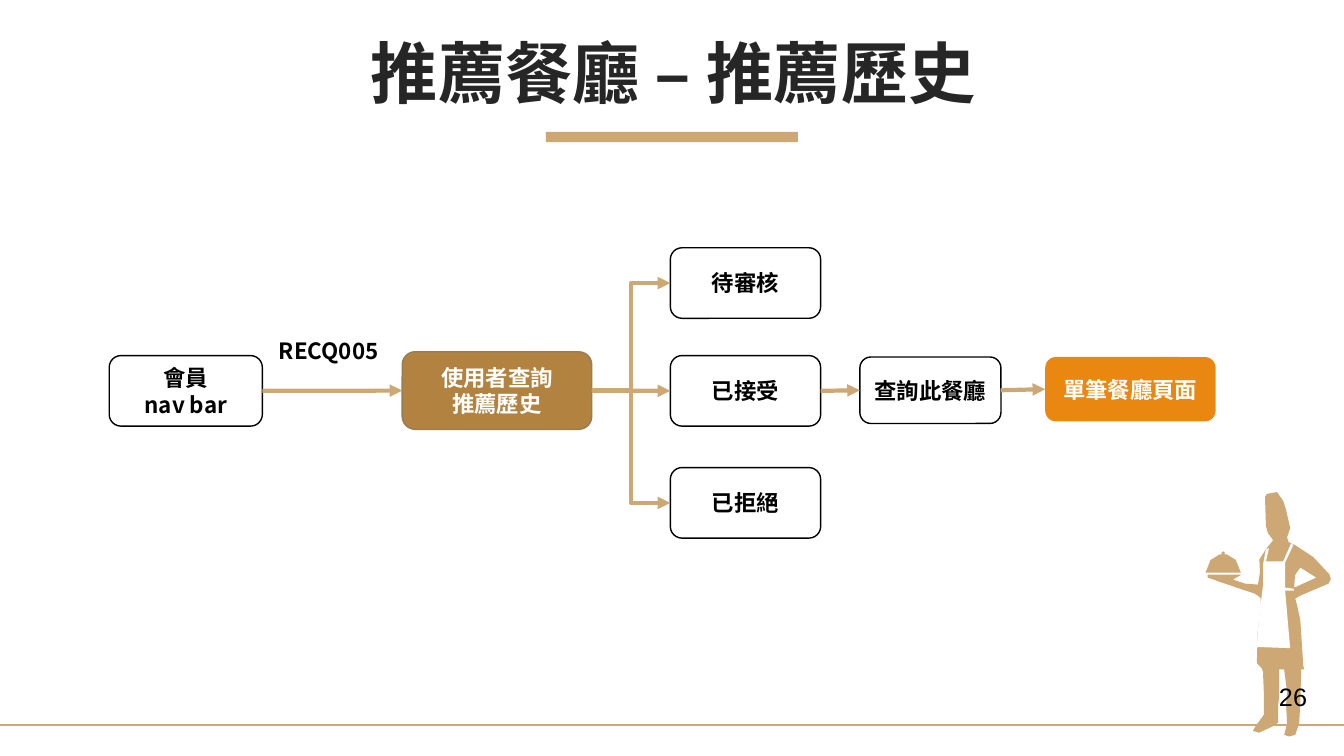
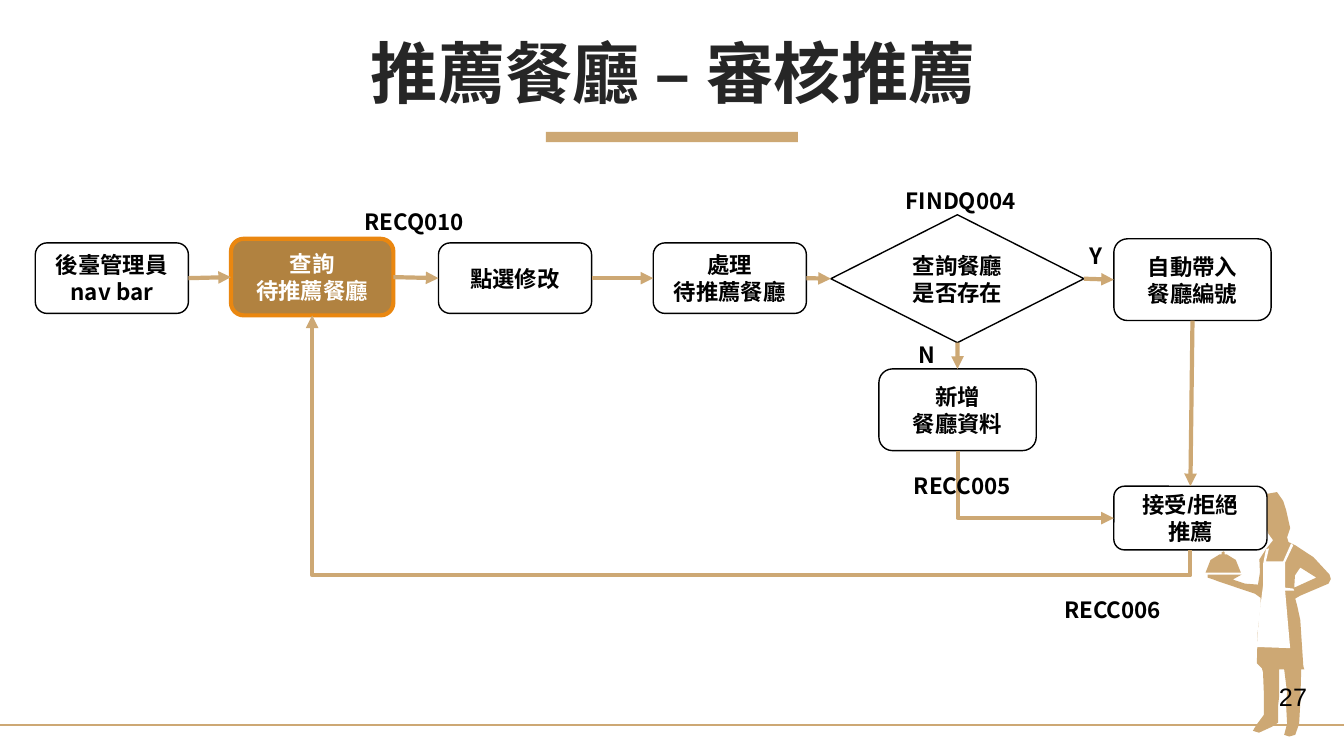
from lxml.etree import SubElement
from pptx import Presentation
from pptx.dml.color import RGBColor
from pptx.enum.shapes import MSO_CONNECTOR, MSO_SHAPE
from pptx.enum.text import MSO_ANCHOR, PP_ALIGN
from pptx.oxml.ns import qn
from pptx.util import Pt

COLORS = {"gold": "CDA874", "brown": "B18240", "edge": "987C56", "orange": "EA8710",
          "title": "262626", "black": "000000", "white": "FFFFFF"}
NOTO, ARIAL = "Noto Sans CJK SC", "Arial"
ROUND, PROCESS = MSO_SHAPE.ROUNDED_RECTANGLE, MSO_SHAPE.FLOWCHART_ALTERNATE_PROCESS
DIAMOND = MSO_SHAPE.DIAMOND
STRAIGHT, ELBOW = MSO_CONNECTOR.STRAIGHT, MSO_CONNECTOR.ELBOW
TOP, LEFT, BOTTOM, RIGHT = range(4)

# Chef silhouette: (fill, contours)
CHEF = [
    ("gold", [
        [(862.6, 410.4), (887, 410.4), (880.6, 414), (889.2, 416.9), (898.6, 417.6),
         (900, 409), (899.6, 399.6), (904.3, 392.4), (909.4, 385.9), (905.8, 380.9),
         (904.3, 375.8), (903.6, 355), (905, 352.8), (912.2, 351.5), (916.6, 357.8),
         (918.7, 364.3), (921.6, 377.3), (919.4, 383.8), (920.4, 387.2), (925.2, 389.5),
         (938.2, 398), (949.7, 410.4), (950.6, 413.6), (949, 416.9), (928.8, 425.5),
         (925.2, 427.6), (926.6, 432.7), (928.8, 442.8), (931, 475.9), (931.7, 478.1),
         (929.5, 478.1), (928.8, 502.6), (928, 517), (925.2, 524.9), (920.9, 526.1),
         (917.3, 524.9), (919.4, 517), (918.7, 503.3), (919.4, 494.6), (917.3, 478.1),
         (913.7, 478.1), (913.7, 497.5), (913, 504), (913, 516.2), (908.6, 519.1),
         (899.3, 523.4), (895, 522), (897.1, 518.4), (902.9, 510.5), (902.9, 497.5),
         (902.2, 480.2), (901.4, 477.4), (897.8, 473.8), (898.4, 452), (900.7, 432),
         (900.4, 427), (896.4, 424.1), (870.5, 415.4), (866.9, 414), (862.6, 412.6)],
        [(924.5, 419.8), (940.3, 412.6), (928.8, 405.4), (925, 411)]]),
    ("white", [
        [(922.3, 388.1), (916.6, 401), (904.3, 401), (906.5, 391.7), (904.3, 392.4),
         (902.2, 403.2), (902.2, 418.3), (899.3, 441.4), (897.8, 462.2), (921.6, 463),
         (918, 421.9), (924.5, 421.9), (923.8, 420.5), (918, 419.8), (918, 401.8),
         (923.8, 389.5)]]),
    ("gold", [
        [(874.1, 393.8), (872.6, 394.6), (872.6, 396), (871.2, 396), (864.7, 400),
         (861.1, 409), (886.3, 409), (882.7, 400), (876.2, 396), (874.8, 396),
         (874.8, 394.6)]]),
]

# Box: name -> (preset, left, top, width, height, lines, font, fill, line, line width)
# Arrow: (from, site, to, site, connector type, turn), turn = (preset, degrees, adjust)
# Label: (left, top, width, text)
WHITE_BOX = ("white", "black", 1)
STATUSES = [("pending", 177, "待審核"), ("accepted", 254, "已接受"), ("refused", 334, "已拒絕")]
SLIDES = [
    {"title": "推薦餐廳 – 推薦歷史", "number": "26",
     "boxes": {
         "member": (PROCESS, 78, 254, 109.4, 50.4, ["會員", "nav bar"], NOTO, *WHITE_BOX),
         "history": (ROUND, 287.3, 251.3, 135.4, 55.4, ["使用者查詢", "推薦歷史"], ARIAL,
                     "brown", "edge", 1),
         **{name: (PROCESS, 478.8, top, 107.4, 50.4, [text], ARIAL, *WHITE_BOX)
            for name, top, text in STATUSES},
         "search": (ROUND, 614.2, 255, 100.8, 47.5, ["查詢此餐廳"], ARIAL, *WHITE_BOX),
         "page": (ROUND, 746.6, 255, 121.7, 46, ["單筆餐廳頁面"], ARIAL, "orange", None, 0)},
     "arrows": [("member", RIGHT, "history", LEFT, STRAIGHT, None),
                ("history", RIGHT, "pending", LEFT, ELBOW, None),
                ("history", RIGHT, "accepted", LEFT, STRAIGHT, None),
                ("history", RIGHT, "refused", LEFT, ELBOW, None),
                ("accepted", RIGHT, "search", LEFT, STRAIGHT, None),
                ("search", RIGHT, "page", LEFT, STRAIGHT, None)],
     "labels": [(192.2, 237.6, 86.4, "RECQ005")]},
    {"title": "推薦餐廳 – 審核推薦", "number": "27",
     "boxes": {
         "admin": (PROCESS, 25.2, 173.5, 109.4, 50.4, ["後臺管理員", "nav bar"], NOTO, *WHITE_BOX),
         "query": (ROUND, 165, 170.6, 116, 54.7, ["查詢", "待推薦餐廳"], ARIAL,
                   "brown", "orange", 3),
         "edit": (PROCESS, 313.2, 173.5, 109.4, 50.4, ["點選修改"], NOTO, *WHITE_BOX),
         "handle": (PROCESS, 466.6, 173.5, 109.4, 50.4, ["處理", "待推薦餐廳"], NOTO, *WHITE_BOX),
         "exists": (DIAMOND, 593.5, 153.4, 180.8, 91.4, ["查詢餐廳是否存在"], NOTO, *WHITE_BOX),
         "fill in": (ROUND, 795.6, 170.6, 112.4, 58.4, ["自動帶入", "餐廳編號"], NOTO, *WHITE_BOX),
         "add": (ROUND, 627.8, 263.5, 112.4, 58.4, ["新增", "餐廳資料"], NOTO, *WHITE_BOX),
         "decide": (ROUND, 795.6, 347.3, 109.4, 45.5, ["接受/拒絕", "推薦"], ARIAL, *WHITE_BOX)},
     "arrows": [("admin", RIGHT, "query", LEFT, STRAIGHT, None),
                ("query", RIGHT, "edit", LEFT, STRAIGHT, None),
                ("edit", RIGHT, "handle", LEFT, STRAIGHT, None),
                ("handle", RIGHT, "exists", LEFT, STRAIGHT, None),
                ("exists", RIGHT, "fill in", LEFT, STRAIGHT, None),
                ("exists", BOTTOM, "add", TOP, STRAIGHT, None),
                ("fill in", BOTTOM, "decide", TOP, STRAIGHT, None),
                ("add", BOTTOM, "decide", LEFT, ELBOW, ("bentConnector2", 270, None)),
                ("decide", BOTTOM, "query", BOTTOM, ELBOW, ("bentConnector3", 90, -10800))],
     "labels": [(253.4, 145.4, 86.4, "RECQ010"), (640, 130.3, 95.8, "FINDQ004"),
                (771, 169.2, 24.5, "Y"), (648.7, 240.5, 28, "N"),
                (753, 422, 84.2, "RECC006"), (645.8, 334, 84.2, "RECC005")]},
]


def write(sp, lines, size, color, font=NOTO, bold=True, align=PP_ALIGN.CENTER, wrap=True):
    """Write lines as one paragraph with line breaks and return the paragraph."""
    tf = sp.text_frame
    tf.word_wrap = wrap
    p = tf.paragraphs[0]
    p.alignment = align
    for i, line in enumerate(lines):
        if i:
            p.add_line_break()
        r = p.add_run()
        r.text = line
        r.font.size, r.font.bold, r.font.name = Pt(size), bold, font
        r.font.color.rgb = RGBColor.from_string(COLORS[color])
        SubElement(r.font._element, qn("a:ea")).set("typeface", NOTO)
    return p


def add_line(s, kind, ends, width, arrow):
    cn = s.shapes.add_connector(kind, *map(Pt, ends))
    cn.line.color.rgb = RGBColor.from_string(COLORS["gold"])
    cn.line.width = Pt(width)
    if arrow:
        SubElement(cn.line._get_or_add_ln(), qn("a:tailEnd")).set("type", "triangle")
    SubElement(cn._element.spPr, qn("a:effectLst"))
    return cn


prs = Presentation()
prs.slide_width, prs.slide_height = Pt(960), Pt(540)

for page in SLIDES:
    s = prs.slides.add_slide(prs.slide_layouts[6])

    # Shared frame: title bar, footer rule, chef
    bar = s.shapes.add_shape(MSO_SHAPE.RECTANGLE, Pt(390), Pt(94.3), Pt(180), Pt(7.2))
    shared = [(bar, "gold")]
    add_line(s, STRAIGHT, (0, 518.1, 960, 518.1), 1.5, False)
    for color, contours in CHEF:
        fb = None
        for contour in contours:
            pts = [(Pt(x), Pt(y)) for x, y in contour]
            if fb is None:
                fb = s.shapes.build_freeform(*pts[0])
            else:
                fb.move_to(*pts[0])
            fb.add_line_segments(pts[1:], close=True)
        shared.append((fb.convert_to_shape(), color))
    for sp, color in shared:
        sp.shadow.inherit = False
        sp.fill.solid()
        sp.fill.fore_color.rgb = RGBColor.from_string(COLORS[color])
        sp.line.fill.background()

    title = s.shapes.add_textbox(Pt(25.2), Pt(26.6), Pt(911.5), Pt(57))
    title.text_frame.vertical_anchor = MSO_ANCHOR.MIDDLE
    write(title, [page["title"]], 48, "title").line_spacing = 0.9

    # Flow chart
    boxes = {}
    for name, (preset, x, y, w, h, lines, font, fill, line, width) in page["boxes"].items():
        sp = s.shapes.add_shape(preset, Pt(x), Pt(y), Pt(w), Pt(h))
        sp.shadow.inherit = False
        sp.fill.solid()
        sp.fill.fore_color.rgb = RGBColor.from_string(COLORS[fill])
        if line:
            sp.line.color.rgb = RGBColor.from_string(COLORS[line])
            sp.line.width = Pt(width)
        else:
            sp.line.fill.background()
        sp.text_frame.vertical_anchor = MSO_ANCHOR.MIDDLE
        write(sp, lines, 16, "black" if fill == "white" else "white", font)
        boxes[name] = sp

    for start, start_site, end, end_site, kind, turn in page["arrows"]:
        cn = add_line(s, kind, (0, 0, 0, 0), 3, True)
        cn.begin_connect(boxes[start], start_site)
        cn.end_connect(boxes[end], end_site)
        if turn:
            preset, degrees, adjust = turn
            x, y, w, h = cn.left, cn.top, cn.width, cn.height
            cn.left, cn.top = x + (w - h) // 2, y + (h - w) // 2
            cn.width, cn.height = h, w
            xfrm = cn._element.spPr.find(qn("a:xfrm"))
            xfrm.set("rot", str(degrees * 60000))
            xfrm.set("flipH", "1")
            xfrm.set("flipV", "0")
            geom = cn._element.spPr.find(qn("a:prstGeom"))
            geom.set("prst", preset)
            if adjust:
                gd = SubElement(geom.find(qn("a:avLst")), qn("a:gd"))
                gd.set("name", "adj1")
                gd.set("fmla", f"val {adjust}")

    for x, y, w, text in page["labels"]:
        label = s.shapes.add_textbox(Pt(x), Pt(y), Pt(w), Pt(26.6))
        write(label, [text], 16, "black", align=PP_ALIGN.LEFT, wrap=False)

    number = s.shapes.add_textbox(Pt(906.5), Pt(483), Pt(34.6), Pt(28.8))
    write(number, [page["number"]], 18, "black", ARIAL, False, PP_ALIGN.LEFT, False)

prs.save("out.pptx")
